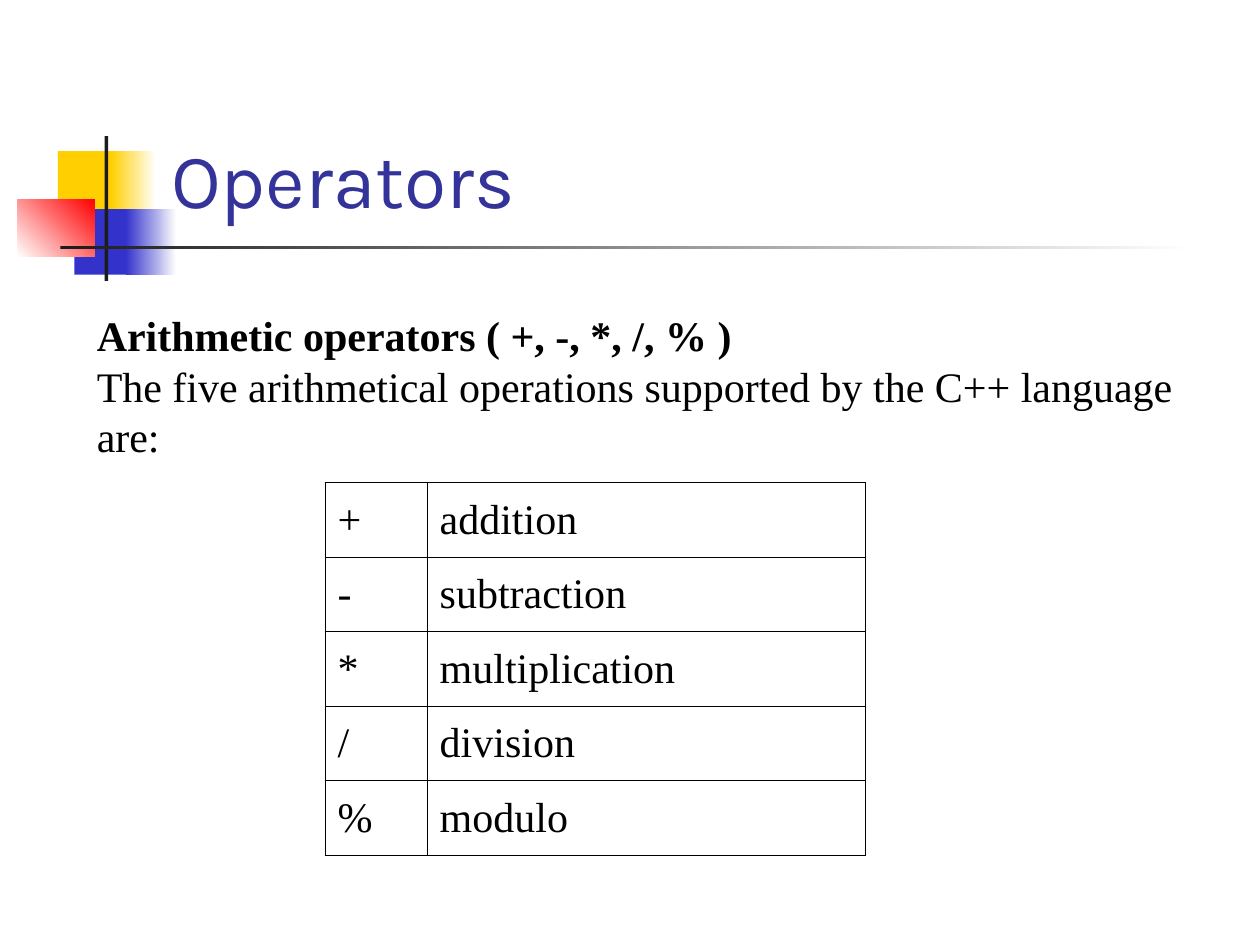
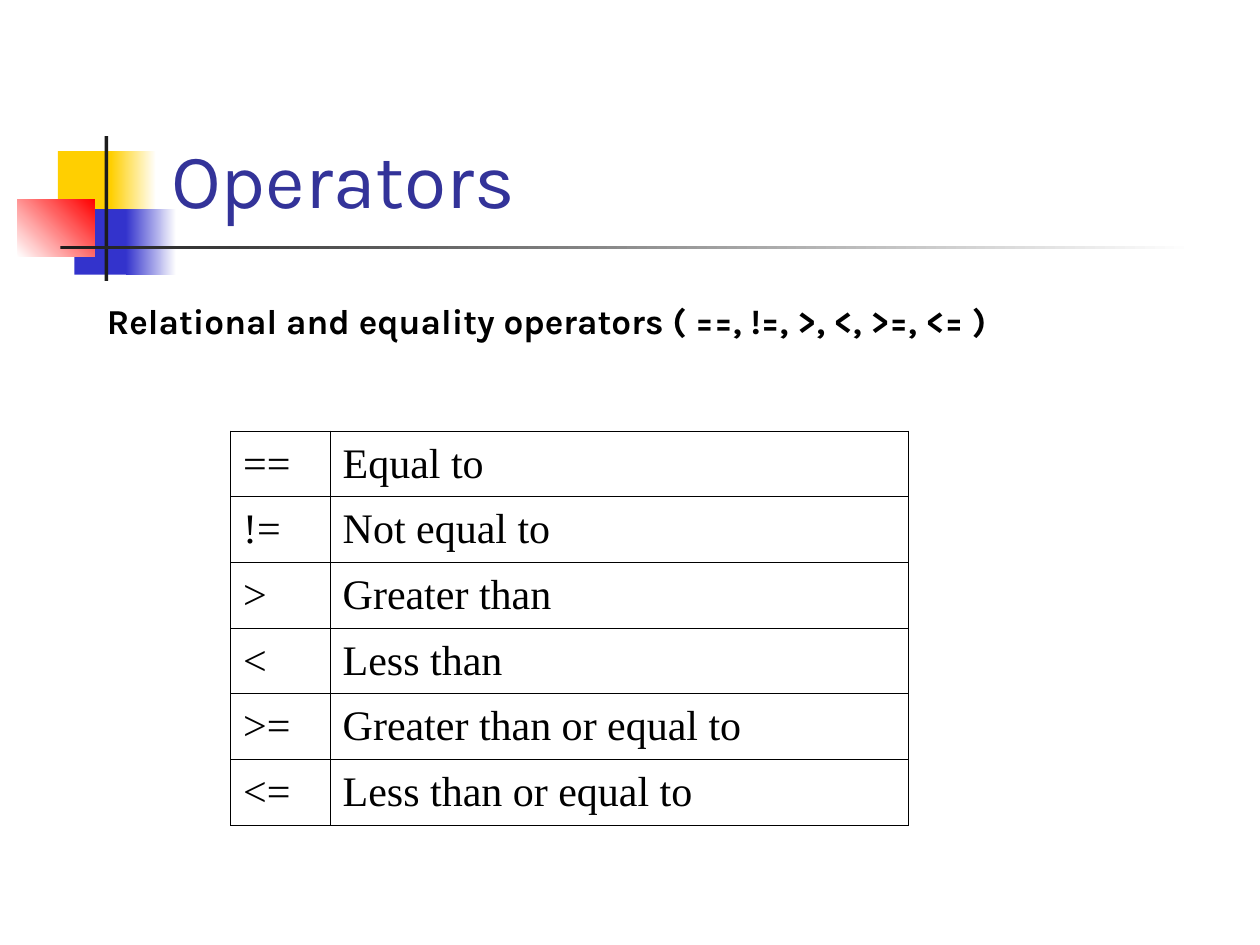
from lxml import etree
from pptx import Presentation, util as u
from pptx.dml.color import RGBColor
from pptx.enum import shapes, text
from pptx.oxml import ns

HUES = {"gold": "FFCF01", "blue": "3333CC", "red": "FF0000", "dark": "1C1C1C",
        "white": "FFFFFF", "title": "333399", "ink": "000000"}
SERIF, SANS = "Times New Roman", "Karla"

# Slide content: lead lines are (words, bold); table widths are in inches
PAGES = [
    {"title": "Operators",
     "lead": [("Arithmetic operators ( +, -, *, /, % )", True),
              ("The five arithmetical operations supported by the C++ language are:", False)],
     "box": (0.67, 2.41, 8.83, 1.7), "font": SERIF, "size": 24, "pitch": 28.8,
     "rows": [("+", "addition"), ("-", "subtraction"), ("*", "multiplication"),
              ("/", "division"), ("%", "modulo")],
     "spot": (2.58, 3.83), "cols": (0.81, 3.48), "high": 2.96},
    {"title": "Operators",
     "lead": [("Relational and equality operators ( ==, !=, >, <, >=, <= )", True)],
     "box": (0.75, 2.33, 9.25, 0.77), "font": SANS, "size": 20, "pitch": None,
     "rows": [("==", "Equal to"), ("!=", "Not equal to"), (">", "Greater than"),
              ("<", "Less than"), (">=", "Greater than or equal to"),
              ("<=", "Less than or equal to")],
     "spot": (1.83, 3.42), "cols": (0.79, 4.59), "high": 3.13},
]

# Title ornament: box, start colour, end colour (None if solid), angle
DECOR = [
    ((0.46, 1.2, 0.48, 0.52), "gold", None, 0),
    ((0.88, 1.2, 0.36, 0.52), "gold", "white", 0),
    ((0.59, 1.66, 0.46, 0.52), "blue", None, 0),
    ((1, 1.66, 0.4, 0.52), "blue", "white", 0),
    ((0.14, 1.58, 0.61, 0.46), "white", "red", 45),
    ((0.83, 1.08, 0.03, 1.15), "dark", None, 0),
    ((0.48, 1.95, 9, 0.03), "dark", "white", 0),
]


def hue(name):
    return RGBColor.from_string(HUES[name])


def place(box):
    return [u.Inches(n) for n in box]


def style(para, face, size, color="ink", bold=False):
    font = para.font
    font.name, font.size, font.bold = face, u.Pt(size), bold
    font.color.rgb = hue(color)
    para.alignment = text.PP_ALIGN.LEFT


def add_decor(slide, layout):
    """Draw the ornament and hand it to the layout, behind its title."""
    tree = layout.placeholders[0].element.getparent()
    for spot, (box, start, end, angle) in enumerate(DECOR, 2):
        bar = slide.shapes.add_shape(shapes.MSO_SHAPE.RECTANGLE, *place(box))
        bar.shadow.inherit = False
        bar.line.fill.background()
        if end:
            bar.fill.gradient()
            bar.fill.gradient_angle = angle
            for stop, name in zip(bar.fill.gradient_stops, (start, end)):
                stop.color.rgb = hue(name)
        else:
            bar.fill.solid()
            bar.fill.fore_color.rgb = hue(start)
        tree.insert(spot, bar.element)


def add_title(slide, words):
    title = slide.shapes.title
    title.left, title.top, title.width, title.height = place((1.26, 0.23, 8.52, 1.6))
    frame = title.text_frame
    frame.text = words
    frame.vertical_anchor = text.MSO_ANCHOR.BOTTOM
    style(frame.paragraphs[0], SANS, 44, "title")


def add_lead(slide, page):
    frame = slide.shapes.add_textbox(*place(page["box"])).text_frame
    frame.word_wrap = True
    frame.vertical_anchor = text.MSO_ANCHOR.TOP
    frame.text = "\n".join(words for words, _ in page["lead"])
    for para, (_, bold) in zip(frame.paragraphs, page["lead"]):
        style(para, page["font"], page["size"], bold=bold)
        if page["pitch"]:
            para.line_spacing = u.Pt(page["pitch"])


def edge(cell):
    """Thin border on all four sides, ahead of the fill."""
    props = cell._tc.get_or_add_tcPr()
    for spot, side in enumerate("LRTB"):
        line = etree.Element(ns.qn(f"a:ln{side}"), w=str(u.Pt(0.45)))
        fill = etree.SubElement(line, ns.qn("a:solidFill"))
        etree.SubElement(fill, ns.qn("a:srgbClr"), val=HUES["ink"])
        props.insert(spot, line)


def add_grid(slide, page):
    rows, cols = page["rows"], page["cols"]
    box = (*page["spot"], sum(cols), page["high"])
    grid = slide.shapes.add_table(len(rows), len(cols), *place(box)).table
    grid.first_row = grid.horz_banding = False
    for col, wide in zip(grid.columns, cols):
        col.width = u.Inches(wide)
    for r, row in enumerate(rows):
        for c, words in enumerate(row):
            cell = grid.cell(r, c)
            cell.text = words
            cell.vertical_anchor = text.MSO_ANCHOR.MIDDLE
            cell.fill.background()
            style(cell.text_frame.paragraphs[0], SERIF, 24)
            edge(cell)


def main():
    deck = Presentation()
    deck.slide_width, deck.slide_height = u.Inches(10), u.Inches(7.5)
    layout = deck.slide_layouts[5]
    for i, page in enumerate(PAGES):
        slide = deck.slides.add_slide(layout)
        if i == 0:
            add_decor(slide, layout)
        add_title(slide, page["title"])
        add_lead(slide, page)
        add_grid(slide, page)
    deck.save("out.pptx")


if __name__ == "__main__":
    main()
